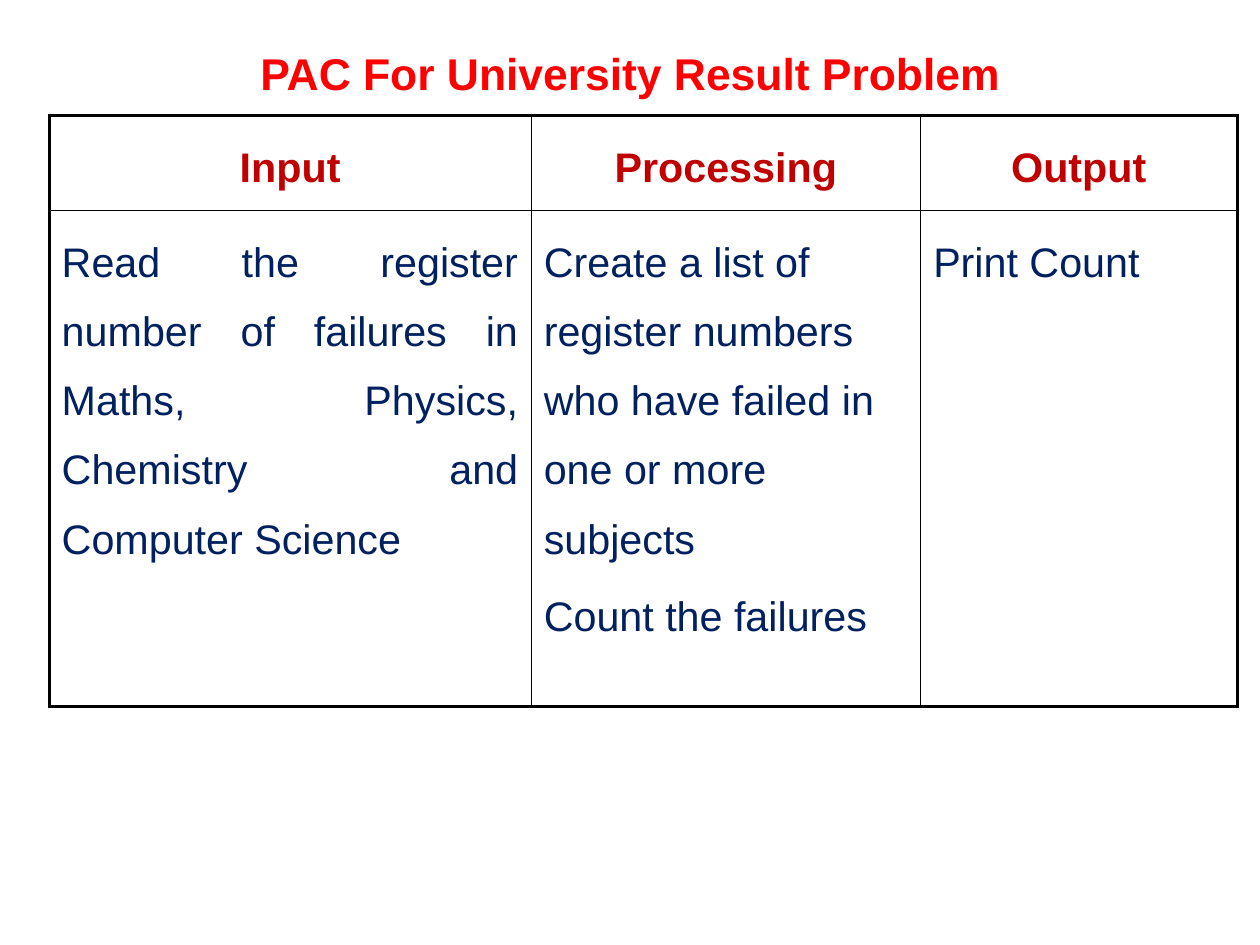
from dataclasses import dataclass

from lxml.etree import SubElement
from pptx import Presentation
from pptx.dml.color import RGBColor
from pptx.enum.text import MSO_ANCHOR, PP_ALIGN
from pptx.oxml.ns import qn
from pptx.util import Cm, Inches, Pt


@dataclass(frozen=True)
class Theme:
    font: str = "Arial"
    background: str = "FFFFFF"
    title: str = "FF0000"
    header: str = "C00000"
    body: str = "002060"
    border: str = "000000"
    title_size: float = 28
    table_size: float = 26
    space_before: float = 5.2
    outer_line: float = 2.25
    inner_line: float = 1


THEME = Theme()

# Boxes as shares of the slide: left, top, width, height
TITLE_BOX = (0.37 / 11.02, 0.19 / 8.27, 10.28 / 11.02, 0.9 / 8.27)
TABLE_BOX = (0.43 / 11.02, 1.01 / 8.27, 10.39 / 11.02, 5.17 / 8.27)
COLUMN_SHARES = (4.22 / 10.4, 3.41 / 10.4, 2.77 / 10.4)
ROW_SHARES = (0.83 / 5.17, 4.34 / 5.17)

HEADERS = ("Input", "Processing", "Output")
STEPS = (
    ["Read the register number of failures in Maths, Physics, "
     "Chemistry and Computer Science"],
    ["Create a list of register numbers who have failed in one or more subjects",
     "Count the failures"],
    ["Print Count"],
)


def place(box):
    """Turn slide shares into lengths."""
    x, y, w, h = box
    return (int(x * prs.slide_width), int(y * prs.slide_height),
            int(w * prs.slide_width), int(h * prs.slide_height))


def style(p, size, color, bold, align):
    p.alignment = align
    p.font.name = THEME.font
    p.font.size = Pt(size)
    p.font.bold = bold
    p.font.color.rgb = RGBColor.from_string(color)


def add_title(s, box, text):
    tf = s.shapes.add_textbox(*place(box)).text_frame
    tf.word_wrap = True
    tf.vertical_anchor = MSO_ANCHOR.MIDDLE
    tf.margin_left = tf.margin_right = tf.margin_top = tf.margin_bottom = 0
    p = tf.paragraphs[0]
    p.text = text
    style(p, THEME.title_size, THEME.title, True, PP_ALIGN.CENTER)


def set_borders(cell, outer_sides):
    """Draw all four sides, heavier where the cell meets the table edge."""
    tc_pr = cell._tc.get_or_add_tcPr()
    for side in "LRTB":
        weight = THEME.outer_line if side in outer_sides else THEME.inner_line
        ln = SubElement(tc_pr, qn(f"a:ln{side}"), w=str(Pt(weight)))
        fill = SubElement(ln, qn("a:solidFill"))
        SubElement(fill, qn("a:srgbClr"), val=THEME.border)


def fill_cell(cell, lines, color, bold, align):
    cell.fill.solid()
    cell.fill.fore_color.rgb = RGBColor.from_string(THEME.background)
    cell.margin_left = cell.margin_right = Inches(0.11)
    cell.margin_top = cell.margin_bottom = Inches(0.06)
    tf = cell.text_frame
    tf.text = "\n".join(lines)
    for p in tf.paragraphs:
        style(p, THEME.table_size, color, bold, align)
        p.line_spacing = 1.5
        p.space_before = Pt(THEME.space_before)


def add_pac_table(s, box):
    x, y, w, h = place(box)
    rows, cols = len(ROW_SHARES), len(COLUMN_SHARES)
    table = s.shapes.add_table(rows, cols, x, y, w, h).table
    table.first_row = table.horz_banding = False
    for row, share in zip(table.rows, ROW_SHARES):
        row.height = int(h * share)
    for c, share in enumerate(COLUMN_SHARES):
        table.columns[c].width = int(w * share)
        # Outer sides this column shares with the table edge
        edge = ("L" if c == 0 else "") + ("R" if c == cols - 1 else "")
        head, body = table.cell(0, c), table.cell(1, c)
        set_borders(head, edge + "T")
        set_borders(body, edge + "B")
        fill_cell(head, [HEADERS[c]], THEME.header, True, PP_ALIGN.CENTER)
        align = PP_ALIGN.JUSTIFY if c == 0 else PP_ALIGN.LEFT
        fill_cell(body, STEPS[c], THEME.body, False, align)


prs = Presentation()
prs.slide_width = Cm(28)
prs.slide_height = Cm(21)
s = prs.slides.add_slide(prs.slide_layouts[6])

# Heading, then the input, processing and output chart
add_title(s, TITLE_BOX, "PAC For University Result Problem")
add_pac_table(s, TABLE_BOX)

prs.save("out.pptx")
